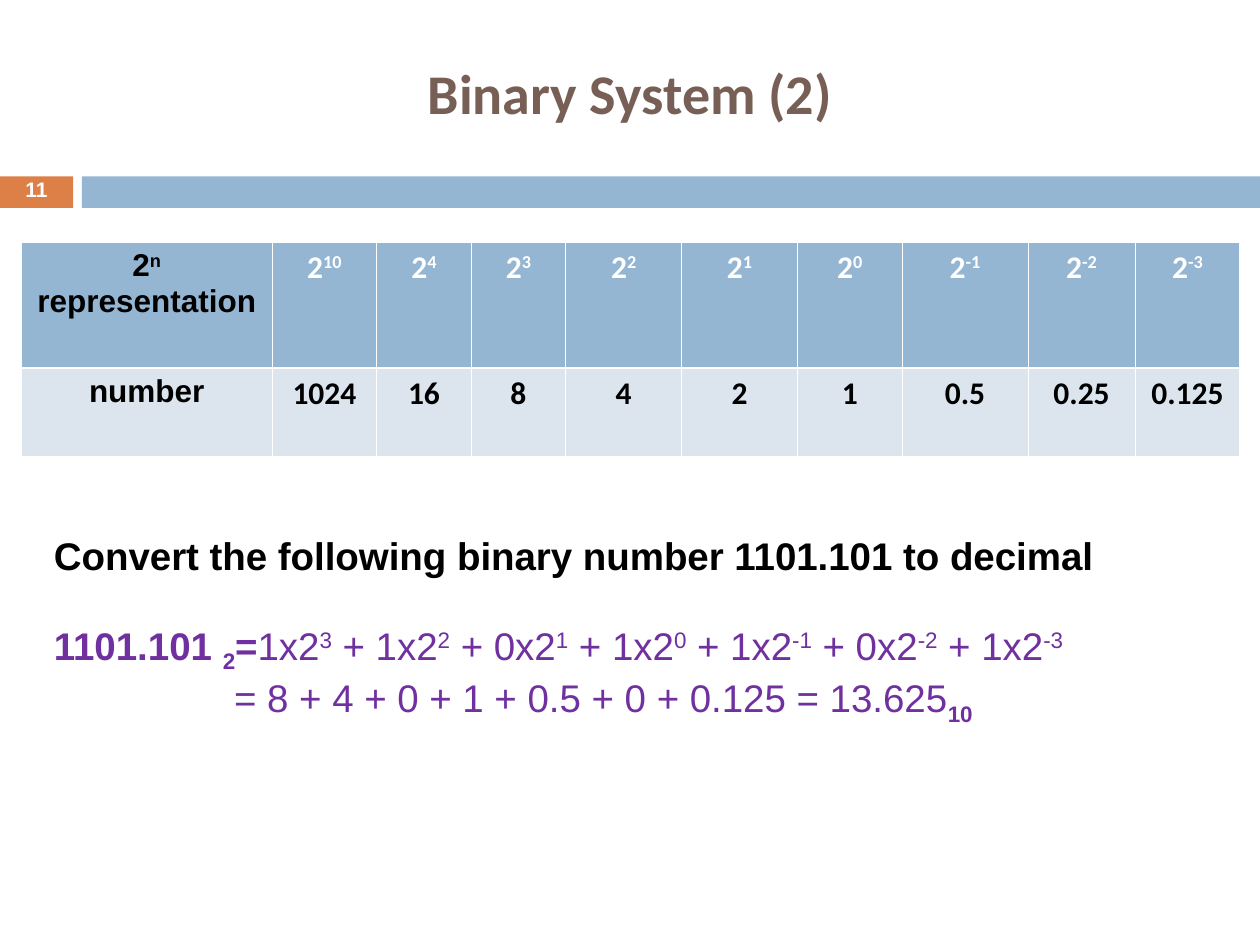
from lxml.etree import SubElement
from pptx import Presentation
from pptx.dml.color import RGBColor
from pptx.enum.shapes import MSO_SHAPE as Shape
from pptx.enum.text import MSO_ANCHOR as Anchor, PP_ALIGN as Align
from pptx.oxml.ns import qn
from pptx.util import Inches, Pt

# In all wording, ^n^ marks a superscript and _n_ a subscript.
TITLE = "Binary System (2)"
PAGE_NUMBER = "11"
POWERS = ["2^n^ representation"] + [
    f"2^{power}^" for power in (10, 4, 3, 2, 1, 0, -1, -2, -3)]
NUMBERS = ["number", "1024", "16", "8", "4", "2", "1", "0.5", "0.25", "0.125"]
COLUMN_WIDTHS = [1.99, 0.83, 0.75, 0.75, 0.92, 0.92, 0.83, 1, 0.85, 0.83]
ROW_HEIGHTS = [1, 0.7]
QUESTION = "Convert the following binary number 1101.101 to decimal"
BINARY = "1101.101 _2_="
EXPANSION = "1x2^3^ + 1x2^2^ + 0x2^1^ + 1x2^0^ + 1x2^-1^ + 0x2^-2^ + 1x2^-3^"
SUM = "= 8 + 4 + 0 + 1 + 0.5 + 0 + 0.125 = 13.625"
SUM_BASE = "_10_"

THEME = {
    "orange": "DD8047", "blue": "94B6D2", "pale": "DCE5EE", "brown": "775F55",
    "purple": "7030A0", "black": "000000", "white": "FFFFFF",
    "heading": "Calibri", "body": "Arial",
    "title_size": 32, "text_size": 22, "table_size": 18, "page_size": 12,
    "thin": 0.45, "thick": 1.47,
}


def color(name):
    return RGBColor.from_string(THEME[name])


def add_runs(paragraph, marked, face, size, ink, bold=True):
    """Add marked text as runs, raising ^parts^ and lowering _parts_."""
    for i, raised_split in enumerate(marked.split("^")):
        for j, text in enumerate(raised_split.split("_")):
            if not text:
                continue
            run = paragraph.add_run()
            run.text = text
            font = run.font
            font.name, font.size, font.bold = THEME[face], Pt(THEME[size]), bold
            font.color.rgb = color(ink)
            baseline = 30000 * (i % 2) - 25000 * (j % 2)
            if baseline:
                font._element.set("baseline", str(baseline))


def add_frame(slide, left, top, width, height, anchor=Anchor.TOP):
    frame = slide.shapes.add_textbox(
        Inches(left), Inches(top), Inches(width), Inches(height)).text_frame
    frame.word_wrap = True
    frame.vertical_anchor = anchor
    return frame


def add_bar(slide, left, width, fill):
    bar = slide.shapes.add_shape(
        Shape.RECTANGLE, Inches(left), Inches(1.4), Inches(width), Inches(0.25))
    bar.shadow.inherit = False
    bar.fill.solid()
    bar.fill.fore_color.rgb = color(fill)
    bar.line.fill.background()


def add_borders(cell, thick_side):
    """Draw white borders, the one on thick_side heavier."""
    properties = cell._tc.get_or_add_tcPr()
    for side in ("L", "R", "T", "B"):
        width = THEME["thick" if side == thick_side else "thin"]
        line = SubElement(properties, qn(f"a:ln{side}"), w=str(Pt(width)))
        fill = SubElement(line, qn("a:solidFill"))
        SubElement(fill, qn("a:srgbClr"), val=THEME["white"])


def add_powers_table(slide):
    table = slide.shapes.add_table(
        2, len(POWERS), Inches(0.17), Inches(1.92),
        Inches(sum(COLUMN_WIDTHS)), Inches(sum(ROW_HEIGHTS))).table
    for column, width in zip(table.columns, COLUMN_WIDTHS):
        column.width = Inches(width)
    row_styles = [(POWERS, "blue", "white", "B"), (NUMBERS, "pale", "black", "T")]
    for r, (entries, fill, ink, thick_side) in enumerate(row_styles):
        table.rows[r].height = Inches(ROW_HEIGHTS[r])
        for c, entry in enumerate(entries):
            cell = table.cell(r, c)
            add_borders(cell, thick_side)
            cell.fill.solid()
            cell.fill.fore_color.rgb = color(fill)
            paragraph = cell.text_frame.paragraphs[0]
            paragraph.alignment = Align.CENTER
            face, cell_ink = ("heading", ink) if c else ("body", "black")
            add_runs(paragraph, entry, face, "table_size", cell_ink)


def add_conversion(slide):
    frame = add_frame(slide, 0.33, 4.17, 9.33, 1.67)
    question = frame.paragraphs[0]
    add_runs(question, QUESTION, "body", "text_size", "black")

    expansion = frame.add_paragraph()
    expansion.space_before = Pt(25)
    add_runs(expansion, BINARY, "body", "text_size", "purple")
    add_runs(expansion, EXPANSION, "body", "text_size", "purple", bold=False)

    total = frame.add_paragraph()
    total._p.get_or_add_pPr().set("marL", str(Inches(1.43)))
    add_runs(total, SUM, "body", "text_size", "purple", bold=False)
    add_runs(total, SUM_BASE, "body", "text_size", "purple")


def main():
    deck = Presentation()
    deck.slide_width, deck.slide_height = Inches(10), Inches(7.5)
    slide = deck.slides.add_slide(deck.slide_layouts[6])

    add_bar(slide, 0, 0.58, "orange")
    add_bar(slide, 0.65, 9.35, "blue")

    title = add_frame(slide, 0.5, 0.3, 9, 0.87, Anchor.MIDDLE).paragraphs[0]
    title.alignment = Align.CENTER
    add_runs(title, TITLE, "heading", "title_size", "brown")

    page = add_frame(slide, 0, 1.39, 0.58, 0.27).paragraphs[0]
    page.alignment = Align.CENTER
    page.line_spacing = 0.8
    add_runs(page, PAGE_NUMBER, "body", "page_size", "white")

    add_conversion(slide)
    add_powers_table(slide)
    deck.save("out.pptx")


if __name__ == "__main__":
    main()
